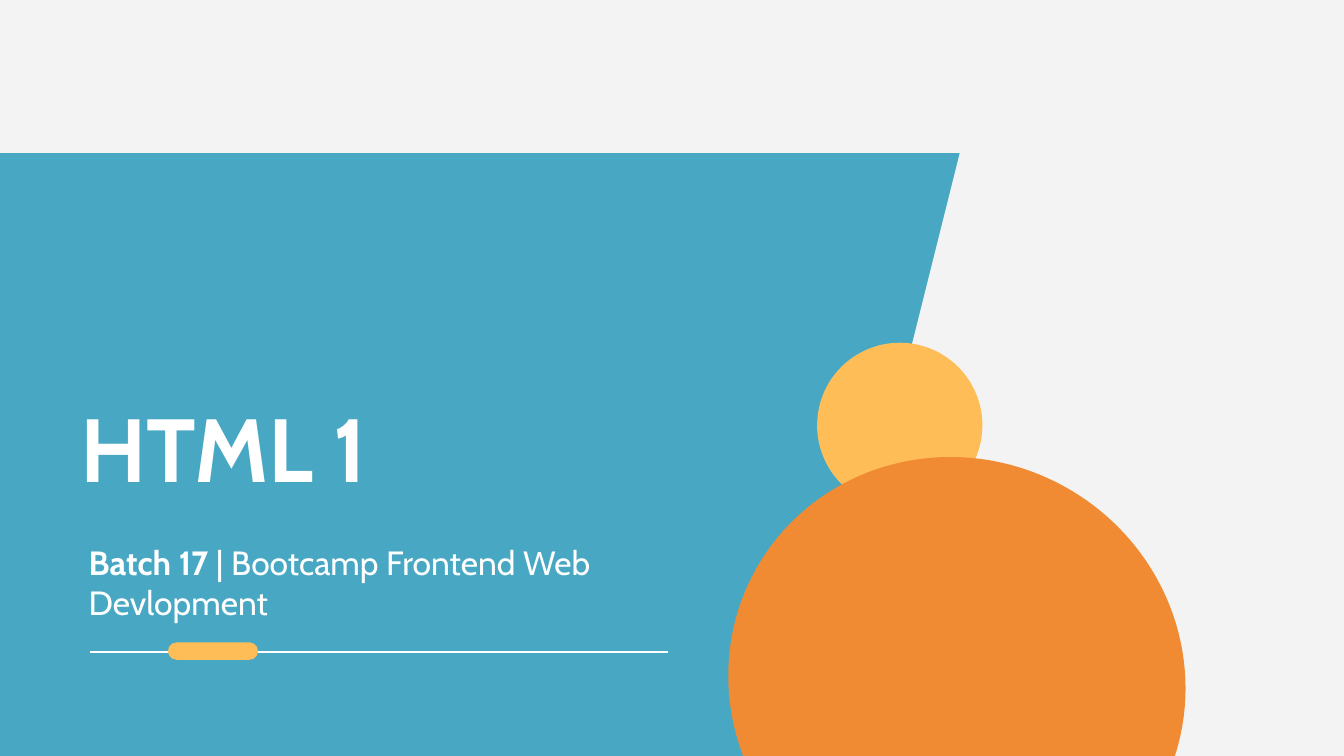
from pptx import Presentation
from pptx.dml.color import RGBColor
from pptx.enum.shapes import MSO_CONNECTOR, MSO_SHAPE
from pptx.enum.text import MSO_ANCHOR, MSO_AUTO_SIZE, PP_ALIGN
from pptx.oxml.ns import qn
from pptx.util import Inches, Pt
from lxml.etree import SubElement

PAPER = RGBColor(0xF3, 0xF3, 0xF3)
TEAL = RGBColor(0x48, 0xA8, 0xC4)
GOLD = RGBColor(0xFF, 0xBD, 0x58)
ORANGE = RGBColor(0xF0, 0x8B, 0x33)
WHITE = RGBColor(0xFF, 0xFF, 0xFF)
FONT = "Cabin"
WIDE = 10
HIGH = WIDE * 9 / 16

TITLE = [("HTML 1", True)]
SUB = [("Batch 17", True), (" | Bootcamp Frontend Web Devlopment", False)]
TEXTS = [
    (TITLE, (0.5, 2.58, 6.13, 1.61), 48, 0.85, MSO_ANCHOR.MIDDLE),
    (SUB, (0.56, 3.98, 5.24, 0.87), 18, 1, MSO_ANCHOR.TOP),
]
PANEL = (MSO_SHAPE.PARALLELOGRAM, (-1.15, 1.14, 8.29, HIGH - 1.14), TEAL, 0, 0.25)
RULE = (0.67, 4.97, 4.85)
MARKS = [
    (MSO_SHAPE.ROUNDED_RECTANGLE, (1.25, 4.78, 0.67, 0.13), GOLD, 0, 0.5),
    (MSO_SHAPE.OVAL, (6.08, 2.55, 1.23, 1.23), GOLD, 327.1, None),
    (MSO_SHAPE.OVAL, (5.46, 3.36, 3.32, 3.43), ORANGE, 300.4, None),
]


def add_mark(slide, kind, box, color, turn, adj):
    mark = slide.shapes.add_shape(kind, *map(Inches, box))
    mark.shadow.inherit = False
    mark.fill.solid()
    mark.fill.fore_color.rgb = color
    mark.line.fill.background()
    mark.rotation = turn
    if adj is not None:
        mark.adjustments[0] = adj
    return mark


def fill_text(holder, parts, box, size, space, anchor):
    holder.left, holder.top, holder.width, holder.height = map(Inches, box)
    frame = holder.text_frame
    frame.word_wrap = True
    frame.auto_size = MSO_AUTO_SIZE.NONE
    frame.vertical_anchor = anchor
    para = frame.paragraphs[0]
    para.alignment = PP_ALIGN.LEFT
    para.line_spacing = space
    para.space_before = Pt(0)
    for text, bold in parts:
        run = para.add_run()
        run.text = text
        font = run.font
        font.name, font.size, font.bold = FONT, Pt(size), bold
        font.color.rgb = WHITE


def add_rule(slide, left, right, top):
    rule = slide.shapes.add_connector(
        MSO_CONNECTOR.STRAIGHT, *map(Inches, (left, top, right, top)))
    rule.line.color.rgb = WHITE
    rule.line.width = Pt(0.75)
    SubElement(rule._element.spPr, qn("a:effectLst"))


def main():
    deck = Presentation()
    deck.slide_width, deck.slide_height = Inches(WIDE), Inches(HIGH)
    slide = deck.slides.add_slide(deck.slide_layouts[0])
    slide.background.fill.solid()
    slide.background.fill.fore_color.rgb = PAPER
    for holder, spec in zip(slide.placeholders, TEXTS):
        fill_text(holder, *spec)
    panel = add_mark(slide, *PANEL)
    slide.shapes.title._element.addprevious(panel._element)
    add_rule(slide, *RULE)
    for mark in MARKS:
        add_mark(slide, *mark)
    deck.save("out.pptx")


if __name__ == "__main__":
    main()
